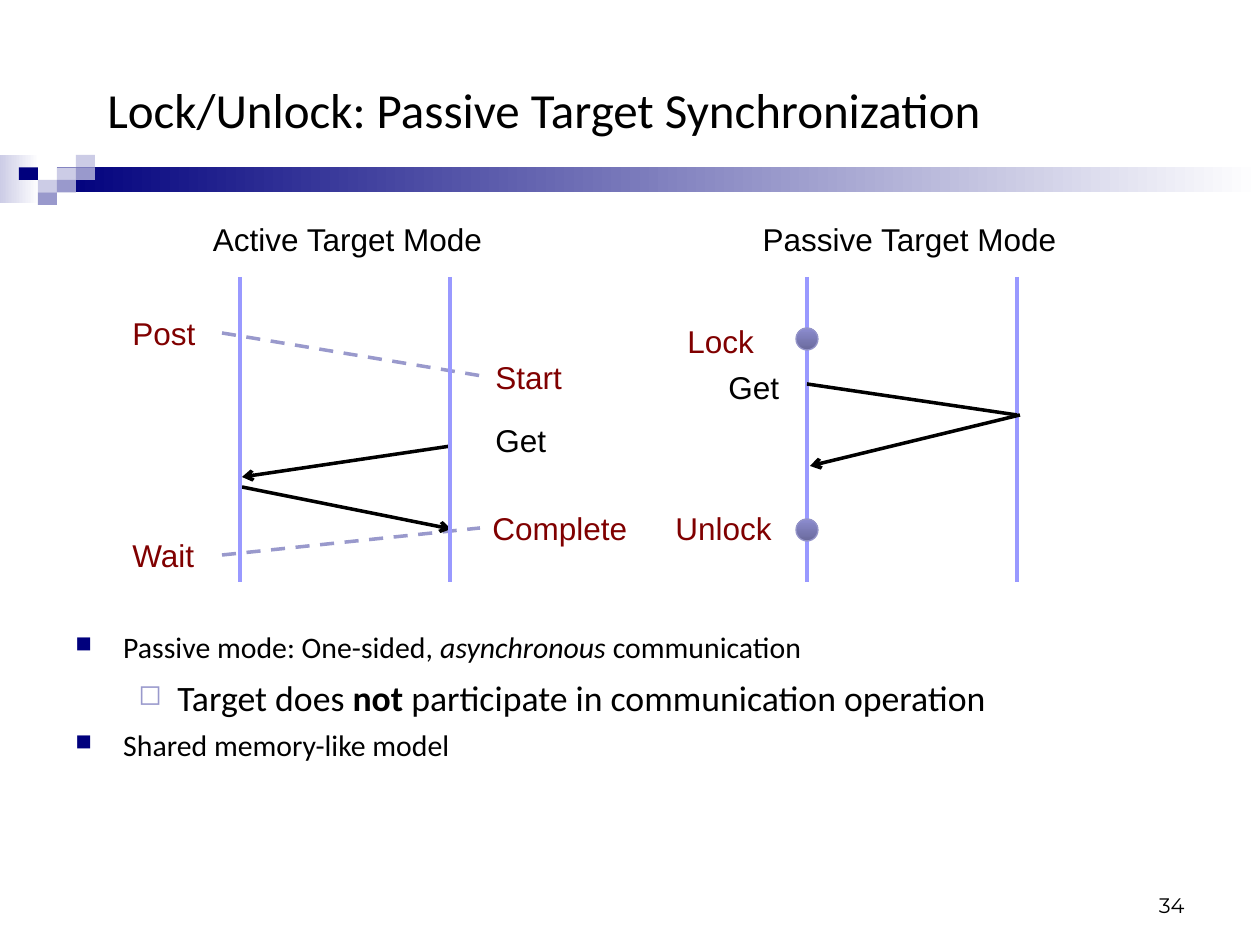
"""Build the slide on passive target synchronization."""
from pptx import Presentation
from pptx import util as u
from pptx.dml.color import RGBColor
from pptx.enum import dml, shapes, text
from pptx.oxml.ns import qn
from lxml import etree

SCALE = 914400 / 126
BLACK, RED, NAVY = "000000", "800000", "00007D"
PALE, MID, LIFE = "CCCCE6", "9999CC", "9999FF"


def px(n):
    """Turn px into EMU."""
    return u.Emu(round(n * SCALE))


def rgb(code):
    """Turn a hex string into a colour."""
    return RGBColor.from_string(code)


def add(parent, tag, **attrs):
    """Append a drawing element with attributes."""
    node = etree.SubElement(parent, qn(tag))
    for key, val in attrs.items():
        node.set(key, str(val))
    return node


def style(para, size, face, color):
    """Set the font of a paragraph."""
    font = para.font
    font.size, font.name = u.Pt(size), face
    font.color.rgb = rgb(color)


def frame(slide, box, wrap=True, anchor=text.MSO_ANCHOR.TOP):
    """Add an empty text box and return its frame."""
    tf = slide.shapes.add_textbox(*map(px, box)).text_frame
    tf.word_wrap, tf.vertical_anchor = wrap, anchor
    return tf


def label(slide, words, box, color=BLACK, size=18, face="Arial",
          align=text.PP_ALIGN.LEFT, **opts):
    """Add one line of text."""
    para = frame(slide, box, **opts).paragraphs[0]
    para.text, para.alignment = words, align
    style(para, size, face, color)


def shape(slide, kind, box, fill, angle=0, edge=None):
    """Add a shape with a plain fill or a gradient pair."""
    shp = slide.shapes.add_shape(kind, *map(px, box))
    shp.shadow.inherit = False
    if isinstance(fill, tuple):
        shp.fill.gradient()
        shp.fill.gradient_angle = angle
        for stop, code in zip(shp.fill.gradient_stops, fill):
            stop.color.rgb = rgb(code)
    else:
        shp.fill.solid()
        shp.fill.fore_color.rgb = rgb(fill)
    if edge:
        shp.line.color.rgb = rgb(edge)
        shp.line.width = u.Pt(0.75)
    else:
        shp.line.fill.background()


def line(slide, ends, color=BLACK, dash=False, arrow=False):
    """Add a straight line, dashed or with an arrowhead."""
    con = slide.shapes.add_connector(shapes.MSO_CONNECTOR.STRAIGHT,
                                     *map(px, ends))
    con.line.color.rgb = rgb(color)
    con.line.width = u.Pt(2)
    if dash:
        con.line.dash_style = dml.MSO_LINE.DASH
    if arrow:
        add(con.line._get_or_add_ln(), "a:tailEnd", type="arrow")
    add(con._element.spPr, "a:effectLst")


def lives(slide, left):
    """Add the two lifelines of a mode."""
    for x in (left, left + 210):
        line(slide, (x, 277, x, 582), LIFE)


def band(slide):
    """Add the gradient band with its squares."""
    rect = shapes.MSO_SHAPE.RECTANGLE
    shape(slide, rect, (0, 155, 39, 48), (PALE, "FFFFFF"))
    shape(slide, rect, (57, 167, 1203, 25), (NAVY, "FFFFFF"))
    for col, row, fill in ((3, 1, PALE), (4, 0, PALE), (4, 1, MID),
                           (2, 2, PALE), (1, 1, NAVY), (3, 2, MID),
                           (2, 3, MID)):
        shape(slide, rect, (19 * col, 155 + 12.5 * row, 19, 12.5), fill)


def bullet(para, parts, sub=False):
    """Fill a bulleted paragraph; parts are (words, mark) pairs."""
    left, hang, mark, color, pct, size, gap = (
        (0.81, 0.31, "◻", MID, 80, 20.4, 6) if sub
        else (0.38, 0.38, "■", NAVY, 75, 17, 5))
    para.level = int(sub)
    props = para._p.get_or_add_pPr()
    props.set("marL", str(u.Inches(left)))
    props.set("indent", str(-u.Inches(hang)))
    add(add(props, "a:buClr"), "a:srgbClr", val=color)
    add(props, "a:buSzPct", val=pct * 1000)
    add(props, "a:buChar", char=mark)
    style(para, size, "Calibri", BLACK)
    for words, kind in parts:
        run = para.add_run()
        run.text = words
        if kind == "i":
            run.font.italic = True
        elif kind == "b":
            run.font.bold = True
    return u.Pt(gap)


def notes(slide):
    """Add the bulleted list."""
    tf = frame(slide, (63, 623, 1134, 195))
    rows = (
        ((("Passive mode: One-sided, ", ""), ("asynchronous", "i"),
          (" communication", "")), False),
        ((("Target does ", ""), ("not ", "b"),
          ("participate in communication operation", "")), True),
        ((("Shared memory-like model", ""),), False),
    )
    for i, (parts, sub) in enumerate(rows):
        para = tf.add_paragraph() if i else tf.paragraphs[0]
        gap = bullet(para, parts, sub)
        if i:
            para.space_before = gap


def passive(slide):
    """Draw the passive target mode."""
    label(slide, "Passive Target Mode", (748, 214, 323, 50),
          align=text.PP_ALIGN.CENTER, wrap=False)
    lives(slide, 807)
    label(slide, "Lock", (675, 316, 115, 50), RED)
    label(slide, "Unlock", (663, 503, 126, 50), RED)
    label(slide, "Get", (716, 362, 76, 50), wrap=False)
    line(slide, (807, 384, 1017, 415))
    line(slide, (1020, 415, 810, 466), arrow=True)
    for y in (328, 519):
        shape(slide, shapes.MSO_SHAPE.OVAL, (796, y, 22, 22),
              ("6A6A9C", "8C8CCF"), 90, "9494C9")


def active(slide):
    """Draw the active target mode."""
    label(slide, "Active Target Mode", (198, 214, 299, 50),
          align=text.PP_ALIGN.CENTER, wrap=False)
    line(slide, (222, 333, 482, 376), MID, dash=True)
    line(slide, (222, 555, 480, 528), MID, dash=True)
    for words, x, y, wide, color in (
            ("Start", 483, 352, 113, RED), ("Get", 483, 415, 97, BLACK),
            ("Complete", 480, 503, 166, RED), ("Post", 120, 308, 103, RED),
            ("Wait", 120, 530, 103, RED)):
        label(slide, words, (x, y, wide, 50), color)
    line(slide, (451, 446, 242, 477), arrow=True)
    line(slide, (242, 487, 451, 529), arrow=True)
    lives(slide, 240)


def main():
    """Build and save the slide."""
    deck = Presentation()
    deck.slide_width, deck.slide_height = px(1260), px(945)
    slide = deck.slides.add_slide(deck.slide_layouts[6])
    band(slide)
    label(slide, "Lock/Unlock: Passive Target Synchronization",
          (95, 53, 1061, 112), size=28, face="Calibri",
          anchor=text.MSO_ANCHOR.MIDDLE)
    notes(slide)
    label(slide, "34", (903, 861, 294, 63), size=12, face="Montserrat",
          align=text.PP_ALIGN.RIGHT, anchor=text.MSO_ANCHOR.BOTTOM)
    passive(slide)
    active(slide)
    deck.save("out.pptx")


if __name__ == "__main__":
    main()
